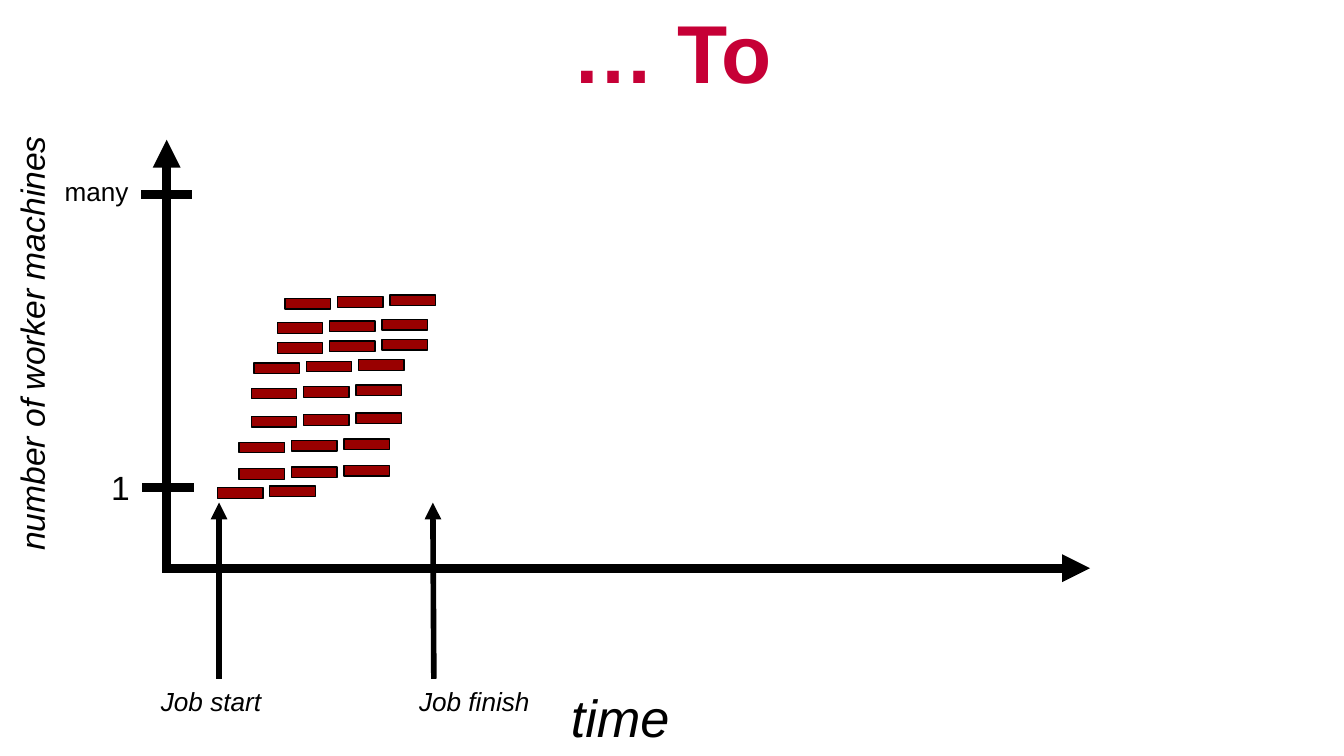
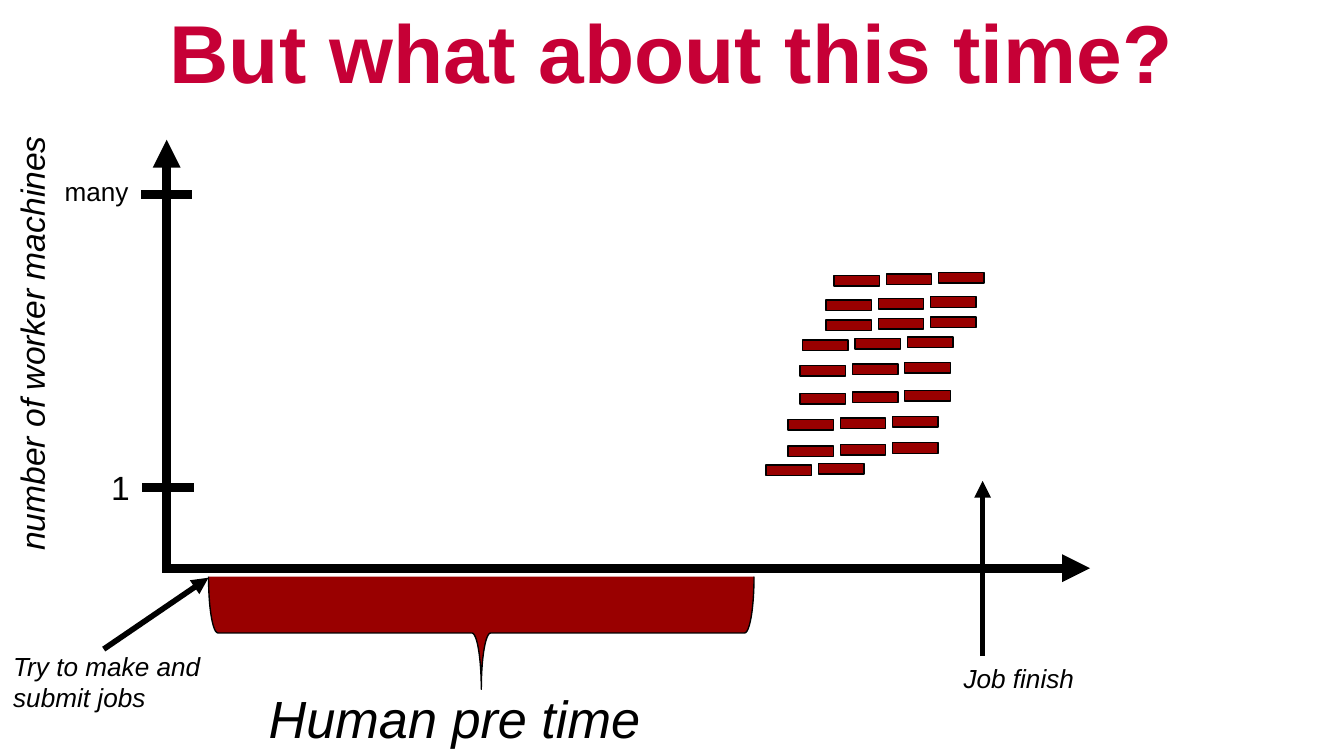
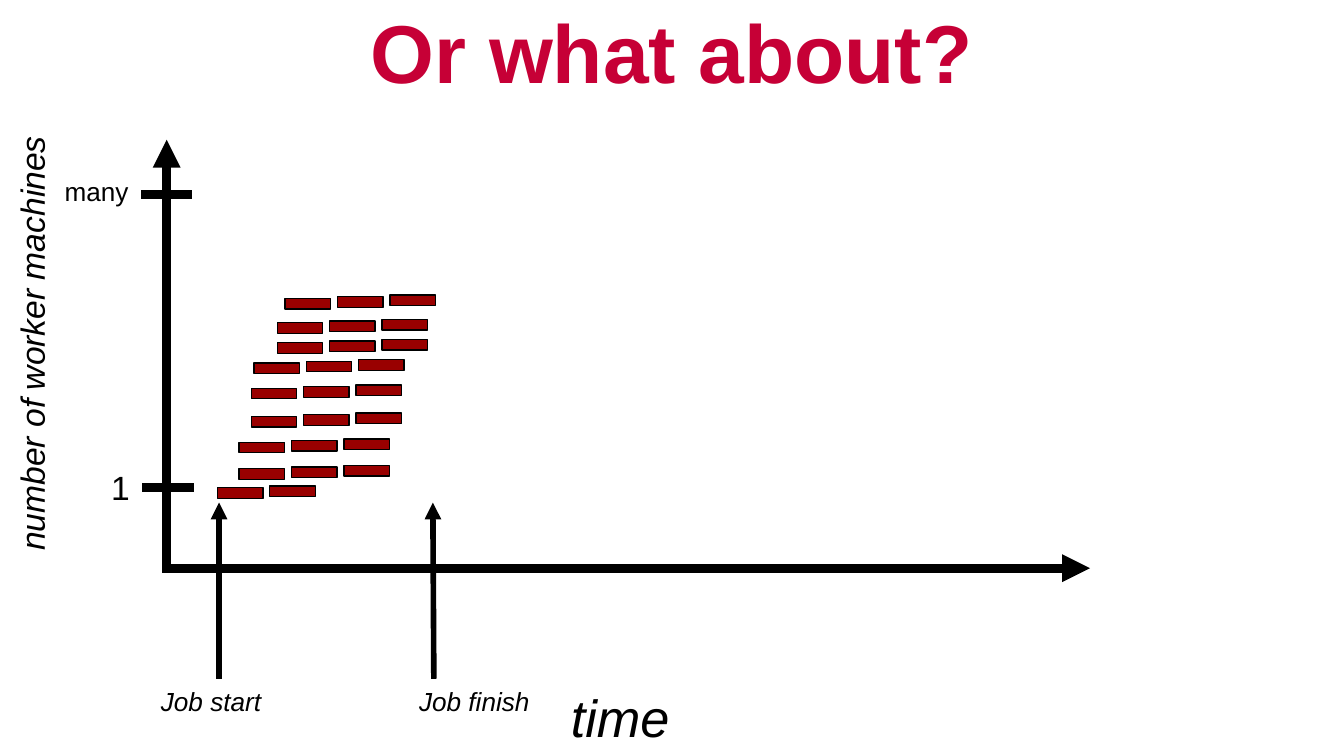
from dataclasses import dataclass
from typing import NamedTuple, Optional

from lxml import etree
from pptx import Presentation
from pptx import util as u
from pptx.dml import color
from pptx.enum import shapes, text
from pptx.oxml import ns


@dataclass(frozen=True)
class Theme:
    font: str = "Arial"
    title_color: str = "C60036"
    ink: str = "000000"
    job_fill: str = "990000"
    background: str = "FFFFFF"
    title_size: int = 44
    caption_size: int = 28
    axis_size: int = 18
    label_size: int = 14
    axis_line: float = 5
    arrow_line: float = 3
    outline: float = 0.75


THEME = Theme()


# All places and lengths are in centimetres
class Label(NamedTuple):
    words: str
    left: float
    top: float
    width: float
    height: float
    size: int = THEME.label_size
    italic: bool = True
    rotation: int = 0


class Line(NamedTuple):
    start: tuple[float, float]
    end: tuple[float, float]
    weight: float
    arrow: bool = True


class Event(NamedTuple):
    label: Label
    pointer: Line
    joined: bool = False  # pointer leaves the middle of the label's top


class JobRow(NamedTuple):
    dx: float
    dy: float
    count: int = 3


class Timeline(NamedTuple):
    title: str
    caption: Label
    events: list[Event]
    first_job: tuple[float, float]
    brace: Optional[tuple[float, float, float, float]] = None


# Shared chart frame
AXES = [
    Line((3.07, 10.74), (20.6, 10.74), THEME.axis_line),
    Line((3.15, 10.74), (3.15, 2.64), THEME.axis_line),
    Line((2.69, 9.22), (3.66, 9.22), THEME.axis_line, arrow=False),
    Line((2.67, 3.68), (3.63, 3.68), THEME.axis_line, arrow=False),
]
AXIS_LABELS = [
    Label("number of worker machines", -3.73, 5.82, 8.66, 1.02,
          THEME.axis_size, rotation=270),
    Label("1", 1.85, 8.71, 0.76, 1.02, THEME.axis_size, italic=False),
    Label("many", 0.97, 3.2, 2.51, 0.86, italic=False),
]

# Job rows, as offsets from the first job
JOB_WIDTH, JOB_HEIGHT = 0.86, 0.2
JOB_PITCH, JOB_RISE = 0.99, 0.03
JOB_ROWS = [
    JobRow(0, 0, 2), JobRow(0.41, -0.36), JobRow(0.41, -0.86),
    JobRow(0.64, -1.35), JobRow(0.64, -1.88), JobRow(0.69, -2.36),
    JobRow(1.13, -2.74), JobRow(1.13, -3.12), JobRow(1.28, -3.58),
]


# Slide contents
def parallel_run(title: str) -> Timeline:
    return Timeline(
        title,
        Label("time", 10.54, 12.83, 2.59, 1.45, THEME.caption_size),
        [
            Event(Label("Job start", 2.79, 12.83, 2.7, 0.86),
                  Line((4.14, 12.83), (4.14, 9.5), THEME.arrow_line), joined=True),
            Event(Label("Job finish", 7.67, 12.83, 2.7, 0.86),
                  Line((8.2, 12.83), (8.18, 9.5), THEME.arrow_line)),
        ],
        first_job=(4.11, 9.22),
    )


TIMELINES = [
    parallel_run("… To"),
    Timeline(
        "But what about this time?",
        Label("Human pre time", 4.83, 12.85, 9.65, 1.45, THEME.caption_size),
        [
            Event(Label("Try to make and submit jobs", 0, 12.17, 4.6, 1.45),
                  Line((1.96, 12.27), (3.94, 10.92), THEME.arrow_line)),
            Event(Label("Job finish", 17.96, 12.4, 2.7, 0.86),
                  Line((18.57, 12.4), (18.57, 9.09), THEME.arrow_line)),
        ],
        first_job=(14.48, 8.79),
        brace=(8.03, 6.81, 2.13, 10.31),
    ),
    parallel_run("Or what about?"),
]


# Drawing functions
def rgb(value: str) -> color.RGBColor:
    return color.RGBColor.from_string(value)


def apply(target, formats: dict) -> None:
    for name, value in formats.items():
        setattr(target, name, value)


def set_font(font, size: int, ink: str, **formats) -> None:
    apply(font, {"name": THEME.font, "size": u.Pt(size), **formats})
    font.color.rgb = rgb(ink)


def draw_title(slide, words: str) -> None:
    title = slide.shapes.title
    apply(title, {"left": u.Cm(0), "top": u.Cm(0),
                  "width": u.Cm(25.4), "height": u.Cm(1.9)})
    frame = title.text_frame
    frame.text = words
    apply(frame, {"vertical_anchor": text.MSO_ANCHOR.MIDDLE, "word_wrap": True})
    paragraph = frame.paragraphs[0]
    paragraph.alignment = text.PP_ALIGN.CENTER
    set_font(paragraph.runs[0].font, THEME.title_size, THEME.title_color, bold=True)


def draw_label(slide, label: Label):
    box = slide.shapes.add_textbox(*map(u.Cm, label[1:5]))
    box.rotation = label.rotation
    frame = box.text_frame
    frame.text = label.words
    apply(frame, {"word_wrap": True,
                  "auto_size": text.MSO_AUTO_SIZE.SHAPE_TO_FIT_TEXT})
    set_font(frame.paragraphs[0].runs[0].font, label.size, THEME.ink,
             italic=label.italic)
    return box


def draw_line(slide, line: Line):
    connector = slide.shapes.add_connector(
        shapes.MSO_CONNECTOR.STRAIGHT, *map(u.Cm, line.start + line.end))
    connector.line.width = u.Pt(line.weight)
    connector.line.color.rgb = rgb(THEME.ink)
    if line.arrow:
        outline = connector.line._get_or_add_ln()
        etree.SubElement(outline, ns.qn("a:tailEnd"), type="triangle")
    properties = connector._element.spPr
    etree.SubElement(properties, ns.qn("a:effectLst"))
    return connector


def draw_event(slide, event: Event) -> None:
    pointer = draw_line(slide, event.pointer)
    label = draw_label(slide, event.label)
    if event.joined:
        pointer.begin_connect(label, 0)


def draw_block(slide, kind, left: float, top: float, width: float,
               height: float, rotation: int = 0) -> None:
    block = slide.shapes.add_shape(kind, *map(u.Cm, (left, top, width, height)))
    block.rotation = rotation
    block.shadow.inherit = False
    block.fill.solid()
    block.fill.fore_color.rgb = rgb(THEME.job_fill)
    block.line.color.rgb = rgb(THEME.ink)
    block.line.width = u.Pt(THEME.outline)


def draw_jobs(slide, left: float, top: float) -> None:
    for row in JOB_ROWS:
        for column in range(row.count):
            draw_block(slide, shapes.MSO_SHAPE.RECTANGLE,
                       left + row.dx + column * JOB_PITCH,
                       top + row.dy - column * JOB_RISE,
                       JOB_WIDTH, JOB_HEIGHT)


def draw_timeline(deck, timeline: Timeline) -> None:
    slide = deck.slides.add_slide(deck.slide_layouts[5])
    slide.background.fill.solid()
    slide.background.fill.fore_color.rgb = rgb(THEME.background)
    draw_title(slide, timeline.title)
    for axis in AXES:
        draw_line(slide, axis)
    for label in [timeline.caption, *AXIS_LABELS]:
        draw_label(slide, label)
    draw_jobs(slide, *timeline.first_job)
    for event in timeline.events:
        draw_event(slide, event)
    if timeline.brace:
        draw_block(slide, shapes.MSO_SHAPE.RIGHT_BRACE, *timeline.brace, rotation=90)


def main() -> None:
    deck = Presentation()
    apply(deck, {"slide_width": u.Cm(25.4), "slide_height": u.Cm(14.29)})
    for timeline in TIMELINES:
        draw_timeline(deck, timeline)
    deck.save("out.pptx")


if __name__ == "__main__":
    main()
